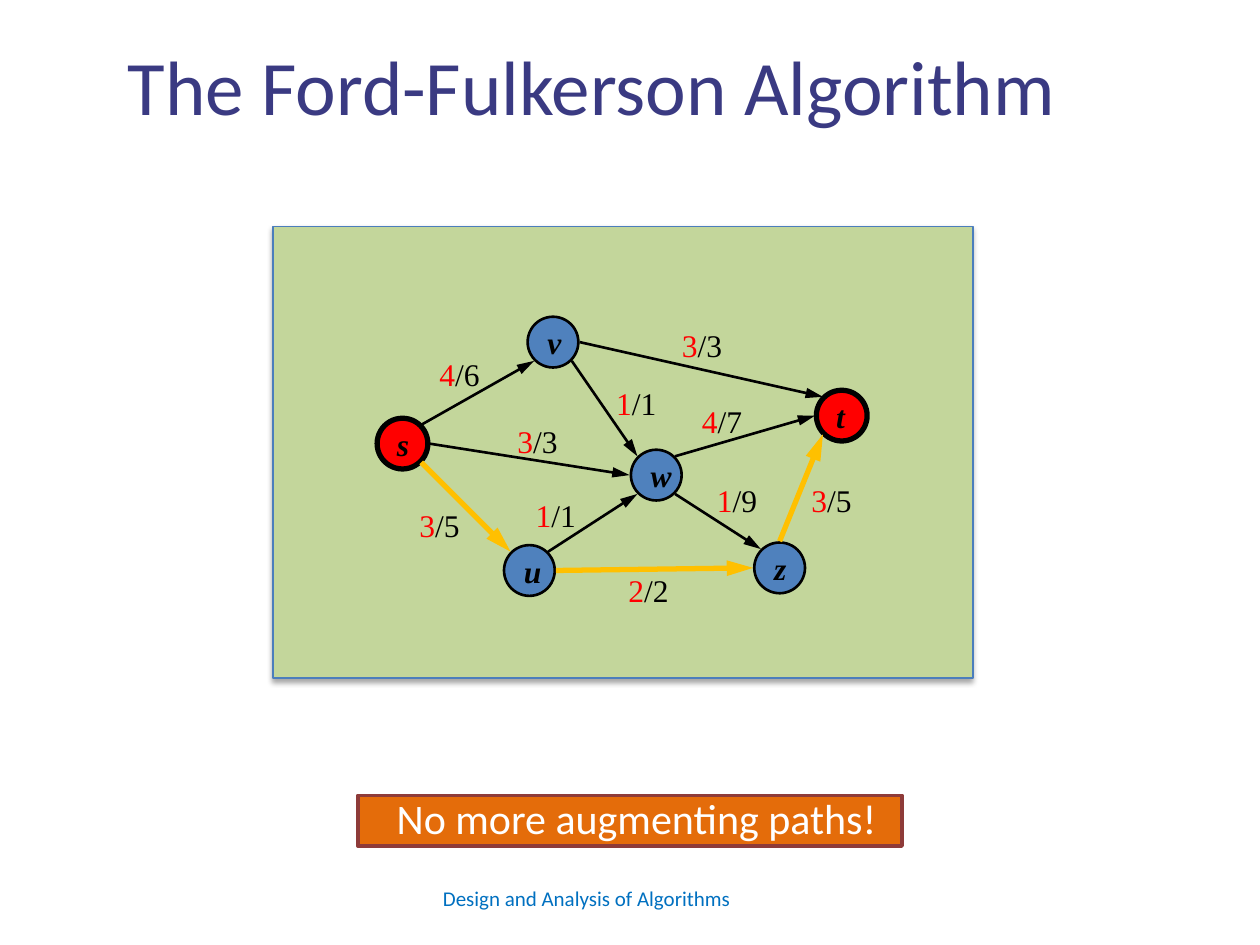
from math import cos, radians, sin

from lxml.etree import SubElement
from pptx import Presentation
from pptx.dml.color import RGBColor
from pptx.enum.shapes import MSO_CONNECTOR, MSO_SHAPE
from pptx.enum.text import MSO_ANCHOR, MSO_AUTO_SIZE, PP_ALIGN
from pptx.oxml.ns import qn
from pptx.util import Pt

BLACK = RGBColor(0x00, 0x00, 0x00)
WHITE = RGBColor(0xFF, 0xFF, 0xFF)
RED = RGBColor(0xFF, 0x00, 0x00)
BLUE = RGBColor(0x4F, 0x81, 0xBD)
GOLD = RGBColor(0xFF, 0xC0, 0x00)
GREEN = RGBColor(0xC3, 0xD6, 0x9B)
PANEL_EDGE = RGBColor(0x4B, 0x7E, 0xBC)
ORANGE = RGBColor(0xE4, 0x6C, 0x0A)
MAROON = RGBColor(0x8E, 0x3B, 0x39)
INDIGO = RGBColor(0x3A, 0x3A, 0x82)
FOOTER_BLUE = RGBColor(0x00, 0x70, 0xC0)

SANS, SERIF = "Calibri", "Times New Roman"
DIAMETER = 29
EDGE_REACH = 15.2  # from a node's centre to where its edges end
LABEL_SIZE = (37.5, 29)

# Node centres, relative to the panel
NODES = {
    "w": (219, 142),
    "s": (74, 124),
    "v": (160, 66),
    "u": (146.5, 196.5),
    "t": (325, 108),
    "z": (289.5, 195),
}
TERMINALS = "st"

COMPASS = {"E": 0, "SE": 45, "W": 180, "SW": 135, "NW": 225, "N": 270, "NE": 315}

# start, side, end, side, flow, capacity, label position, on the highlighted path
EDGES = [
    ("s", "NE", "v", "SW", 4, 6, (88, 70), False),
    ("s", "SE", "u", "NW", 3, 5, (76.5, 156), True),
    ("v", "SE", "w", "NW", 1, 1, (189, 86.5), False),
    ("v", "E", "t", "NW", 3, 3, (226.5, 53), False),
    ("w", "NE", "t", "W", 4, 7, (238, 96.5), False),
    ("w", "SE", "z", "NW", 1, 9, (246.5, 142), False),
    ("z", "N", "t", "SW", 3, 5, (300.5, 142), True),
    ("u", "E", "z", "W", 2, 2, (196, 193.5), True),
    ("u", "NE", "w", "SW", 1, 1, (143, 150.5), False),
    ("s", "E", "w", "W", 3, 3, (132.5, 108), False),
]


def points(values):
    return [Pt(value) for value in values]


def set_all(target, **formats):
    for name, value in formats.items():
        setattr(target, name, value)


def add_run(paragraph, text, color, **font_formats):
    run = paragraph.add_run()
    run.text = text
    run.font.color.rgb = color
    set_all(run.font, **font_formats)


def add_outlined(slide, preset, box, fill, line, width):
    shape = slide.shapes.add_shape(preset, *points(box))
    shape.shadow.inherit = False
    shape.fill.solid()
    shape.fill.fore_color.rgb = fill
    shape.line.color.rgb = line
    shape.line.width = Pt(width)
    return shape


def add_text(slide, box, runs, font_formats, align=PP_ALIGN.LEFT, **frame_formats):
    """Add a one-line text box; runs is a list of (text, color)."""
    frame = slide.shapes.add_textbox(*points(box)).text_frame
    set_all(frame, **{"word_wrap": True, **frame_formats})
    paragraph = frame.paragraphs[0]
    paragraph.alignment = align
    for text, color in runs:
        add_run(paragraph, text, color, **font_formats)


def add_title(slide, box):
    # The wider right inset sets the title slightly left of centre
    add_text(slide, box, [("The Ford-Fulkerson Algorithm", INDIGO)],
             {"name": SANS, "size": Pt(44)}, PP_ALIGN.CENTER,
             margin_top=Pt(9), margin_right=Pt(17))


def add_footer(slide, box):
    add_text(slide, box, [("Design and Analysis of Algorithms", FOOTER_BLUE)],
             {"name": SANS, "size": Pt(12)})


def add_panel(slide, box):
    panel = add_outlined(slide, MSO_SHAPE.RECTANGLE, box, GREEN, PANEL_EDGE, 0.75)
    effects = panel.element.spPr.find(qn("a:effectLst"))
    shadow = SubElement(effects, qn("a:outerShdw"), blurRad=str(Pt(3.1)),
                        dist=str(Pt(1.8)), dir="5400000", rotWithShape="0")
    color = SubElement(shadow, qn("a:srgbClr"), val=str(BLACK))
    SubElement(color, qn("a:alpha"), val="35000")


def add_node(slide, name, center):
    fill, width = (RED, 3) if name in TERMINALS else (BLUE, 1.5)
    corner = [value - DIAMETER / 2 for value in center]
    node = add_outlined(slide, MSO_SHAPE.OVAL, (*corner, DIAMETER, DIAMETER),
                        fill, BLACK, width)
    frame = node.text_frame
    set_all(frame, word_wrap=False, vertical_anchor=MSO_ANCHOR.MIDDLE)
    frame.paragraphs[0].alignment = PP_ALIGN.LEFT
    add_run(frame.paragraphs[0], name, BLACK, name=SERIF, size=Pt(18),
            bold=True, italic=True)


def edge_point(center, side):
    angle = radians(COMPASS[side])
    return center[0] + EDGE_REACH * cos(angle), center[1] + EDGE_REACH * sin(angle)


def add_edge(slide, start, end, highlighted):
    edge = slide.shapes.add_connector(MSO_CONNECTOR.STRAIGHT, *points((*start, *end)))
    edge.line.color.rgb = GOLD if highlighted else BLACK
    edge.line.width = Pt(3 if highlighted else 1.5)
    SubElement(edge.line._get_or_add_ln(), qn("a:tailEnd"),
               type="triangle", w="med", len="lg")
    SubElement(edge.element.spPr, qn("a:effectLst"))


def add_flow_network(slide, box):
    left, top = box[:2]
    add_panel(slide, box)
    centers = {name: (left + x, top + y) for name, (x, y) in NODES.items()}
    for name, center in centers.items():
        add_node(slide, name, center)
    for start, exit_side, end, entry_side, flow, capacity, (x, y), highlighted in EDGES:
        add_edge(slide, edge_point(centers[start], exit_side),
                 edge_point(centers[end], entry_side), highlighted)
        add_text(slide, (left + x, top + y, *LABEL_SIZE),
                 [(str(flow), RED), (f"/{capacity}", BLACK)],
                 {"name": SERIF, "size": Pt(18)},
                 word_wrap=False, auto_size=MSO_AUTO_SIZE.SHAPE_TO_FIT_TEXT)


def add_conclusion(slide, box):
    left, top, width, height = box
    add_outlined(slide, MSO_SHAPE.RECTANGLE, box, ORANGE, MAROON, 2)
    add_text(slide, (left - 17.5, top - 5, width + 54, height + 7),
             [("No more augmenting paths!", WHITE)], {"name": SANS, "size": Pt(24)},
             margin_left=Pt(39.7), auto_size=MSO_AUTO_SIZE.SHAPE_TO_FIT_TEXT)


def main():
    deck = Presentation()
    set_all(deck, slide_width=Pt(720), slide_height=Pt(540))
    slide = deck.slides.add_slide(deck.slide_layouts[6])
    add_flow_network(slide, (156, 129.5, 400, 258))
    add_footer(slide, (246, 502.5, 228, 29))
    add_title(slide, (-21.5, 13, 729.5, 45.5))
    add_conclusion(slide, (204.5, 454.5, 311, 29))
    deck.save("out.pptx")


if __name__ == "__main__":
    main()
